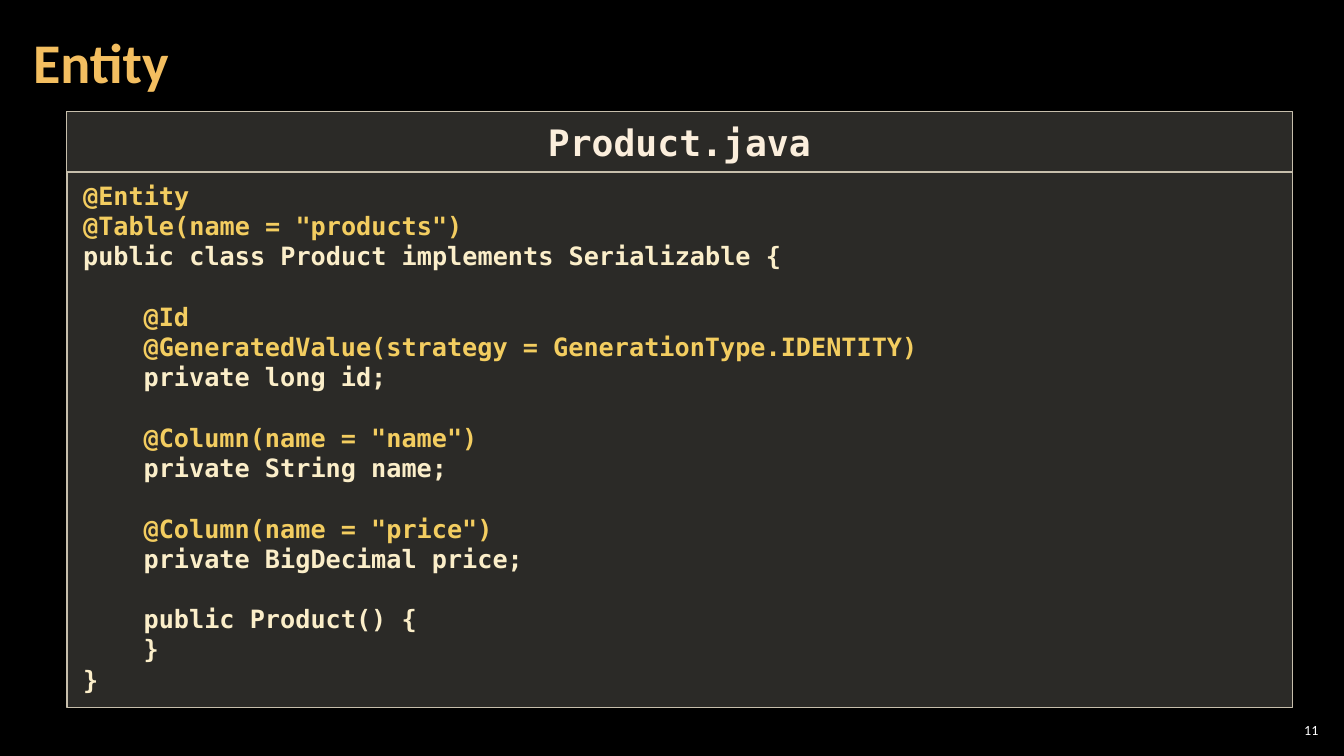
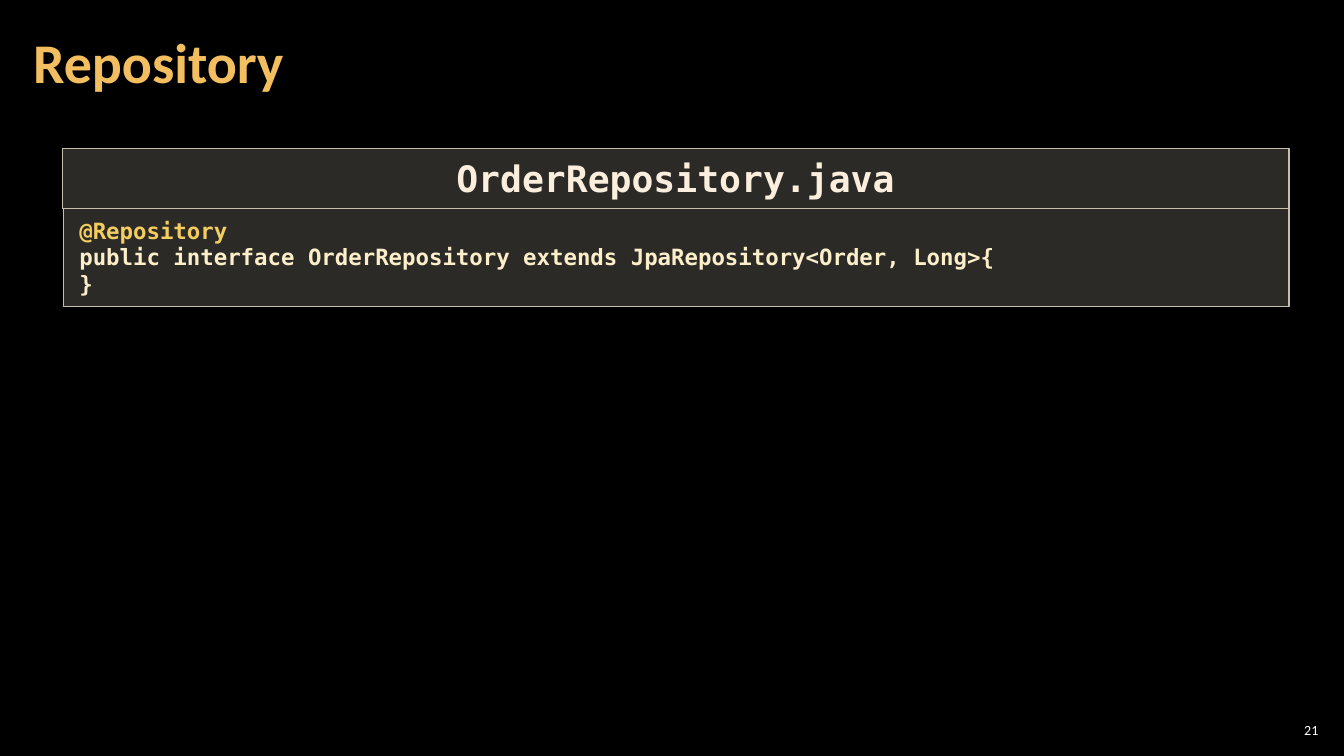
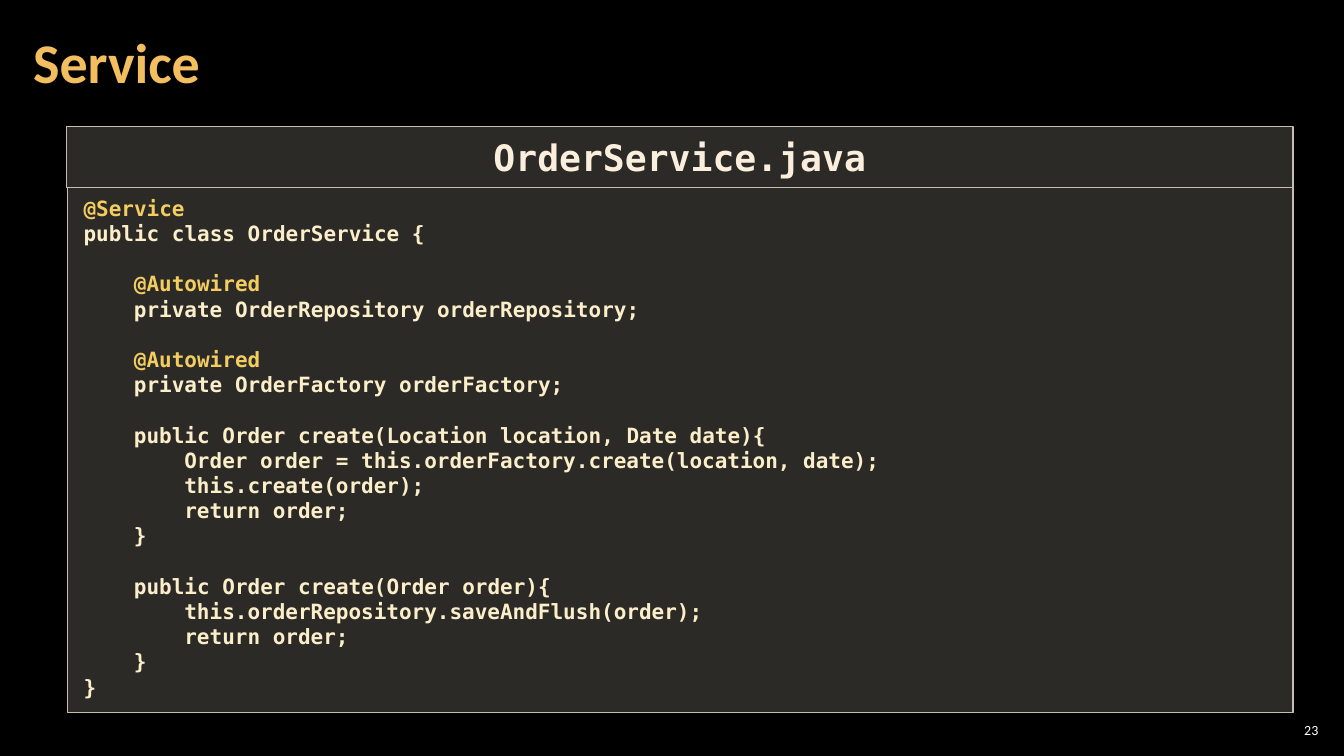
from lxml import etree
from pptx import Presentation
from pptx import util as u
from pptx.dml.color import RGBColor
from pptx.enum import shapes, text
from pptx.oxml.ns import qn

HUES = {
    "back": "000000", "title": "F3BE60", "number": "FFFFFF",
    "panel": "D9D5C7", "edge": "C7BFAC",
    "head": "FBEEDC", "code": "FBEEC9", "mark": "F3CD60",
}
SANS, MONO = "Calibri", "DejaVu Sans Mono"
COLS, ROWS = 32, 18
LEADING = 1.2    # line pitch of code, as a share of the font size
ADVANCE = 0.6    # width of one code letter, as a share of the font size

PRODUCT = '''
@Entity
@Table(name = "products")
public class Product implements Serializable {

    @Id
    @GeneratedValue(strategy = GenerationType.IDENTITY)
    private long id;

    @Column(name = "name")
    private String name;

    @Column(name = "price")
    private BigDecimal price;

    public Product() {
    }
}
'''

REPOSITORY = '''
@Repository
public interface OrderRepository extends JpaRepository<Order, Long>{
}
'''

SERVICE = '''
@Service
public class OrderService {

    @Autowired
    private OrderRepository orderRepository;

    @Autowired
    private OrderFactory orderFactory;

    public Order create(Location location, Date date){
        Order order = this.orderFactory.create(location, date);
        this.create(order);
        return order;
    }

    public Order create(Order order){
        this.orderRepository.saveAndFlush(order);
        return order;
    }
}
'''


def rgb(hue):
    return RGBColor.from_string(HUES[hue])


class Deck:
    def __init__(self):
        self.prs = Presentation()
        self.prs.slide_width = u.Inches(13.333)
        self.prs.slide_height = u.Inches(7.5)
        self.col = self.prs.slide_width / COLS
        self.row = self.prs.slide_height / ROWS
        self.slide = None

    def place(self, left, top, width, height):
        """Turn columns and rows into slide lengths."""
        return (int(left * self.col), int(top * self.row),
                int(width * self.col), int(height * self.row))

    def frame(self, shape, padx, pady, anchor):
        """Set up the text frame of a shape and return it."""
        box = shape.text_frame
        box.word_wrap = True
        box.auto_size = text.MSO_AUTO_SIZE.NONE
        box.vertical_anchor = anchor
        box.margin_left = box.margin_right = int(padx * self.col)
        box.margin_top = box.margin_bottom = int(pady * self.row)
        return box

    def style(self, para, words, face, size, hue, bold=True,
              align=text.PP_ALIGN.LEFT):
        para.text = words
        para.alignment = align
        font = para.font
        font.name, font.size, font.bold = face, u.Pt(size), bold
        font.color.rgb = rgb(hue)

    def page(self, title, number):
        """Start a slide with its background, number and title."""
        self.slide = self.prs.slides.add_slide(self.prs.slide_layouts[6])
        fill = self.slide.background.fill
        fill.solid()
        fill.fore_color.rgb = rgb("back")
        self.label((30.36, 17.14, 1.13, 0.5), 0.1, str(number), 10, "number",
                   False, text.PP_ALIGN.RIGHT)
        para = self.label((0.5, 0.1, 25.13, 2.9), 0.29, title, 40, "title")
        para.line_spacing = 0.9

    def label(self, area, padx, words, size, hue, *look):
        shape = self.slide.shapes.add_textbox(*self.place(*area))
        box = self.frame(shape, padx, 0.1, text.MSO_ANCHOR.MIDDLE)
        para = box.paragraphs[0]
        self.style(para, words, SANS, size, hue, *look)
        return para

    def panel(self, *area):
        """Draw a see-through outlined panel and return its text frame."""
        shape = self.slide.shapes.add_shape(
            shapes.MSO_SHAPE.RECTANGLE, *self.place(*area))
        shape.shadow.inherit = False
        shape.fill.solid()
        shape.fill.fore_color.rgb = rgb("panel")
        tint = shape.fill._xPr.find(qn("a:solidFill"))[0]
        etree.SubElement(tint, qn("a:alpha"), val="20000")
        shape.line.color.rgb = rgb("edge")
        shape.line.width = u.Pt(1)
        return self.frame(shape, 0.38, 0.19, text.MSO_ANCHOR.TOP)

    def code(self, box, source, size):
        """Write one paragraph a line; blank lines become space before."""
        pitch, gap, first = u.Pt(size * LEADING), 0, True
        for line in source.strip().splitlines():
            words = line.lstrip()
            if not words:
                gap += pitch
                continue
            para = box.paragraphs[0] if first else box.add_paragraph()
            hue = "mark" if words.startswith("@") else "code"
            self.style(para, words, MONO, size, hue)
            para.line_spacing = pitch
            para.space_before = u.Emu(gap)
            depth = len(line) - len(words)
            indent = u.Pt(depth * size * ADVANCE)
            para._p.get_or_add_pPr().set("marL", str(int(indent)))
            gap, first = 0, False

    def listing(self, name, source, size, left, top, height):
        """Show a source file: code below, file name in the band above."""
        body = self.panel(left + 0.02, top + 1.44, 29.18, height)
        self.code(body, source, size)
        head = self.panel(left, top, 29.2, 1.44).paragraphs[0]
        self.style(head, name, MONO, 26, "head", align=text.PP_ALIGN.CENTER)
        head.line_spacing = u.Pt(26 * LEADING)


def main():
    deck = Deck()
    deck.page("Entity", 11)
    deck.listing("Product.java", PRODUCT, 18, 1.58, 2.66, 12.74)
    deck.page("Repository", 21)
    deck.listing("OrderRepository.java", REPOSITORY, 16, 1.49, 3.53, 2.33)
    deck.page("Service", 23)
    deck.listing("OrderService.java", SERVICE, 15, 1.59, 3.02, 12.5)
    deck.prs.save("out.pptx")


if __name__ == "__main__":
    main()
